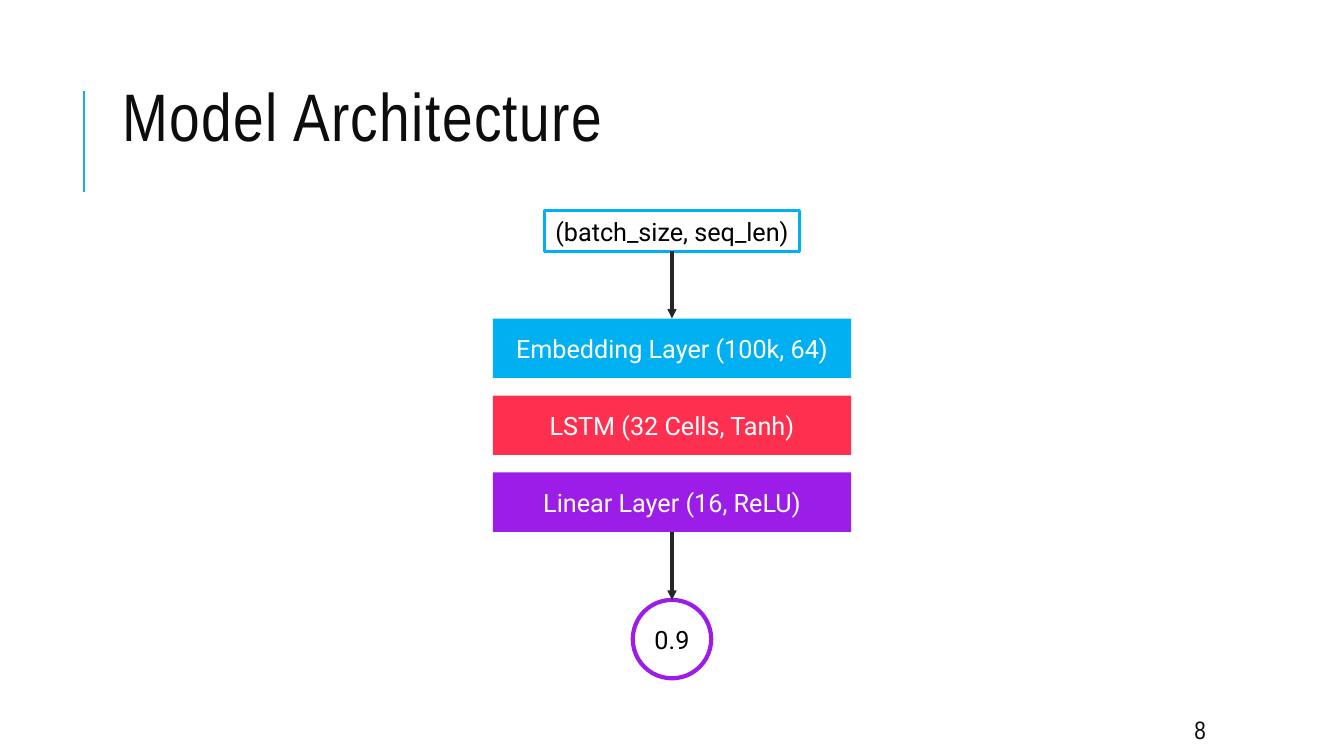
"""Builds the model architecture slide."""
from lxml import etree
from pptx import Presentation, util as u
from pptx.dml import color
from pptx.enum import shapes, text
from pptx.oxml import ns

Pt = u.Pt
SHAPE = shapes.MSO_SHAPE
ALIGN = text.PP_ALIGN


def rgb(value):
    return color.RGBColor.from_string(value)


def write(box, words, size=18, font="Roboto", ink="000000", align=ALIGN.CENTER,
          wrap=True, line_spacing=None, tracking=None):
    frame = box.text_frame
    frame.word_wrap = wrap
    frame.auto_size = text.MSO_AUTO_SIZE.NONE
    frame.vertical_anchor = text.MSO_ANCHOR.MIDDLE
    para = frame.paragraphs[0]
    para.alignment = align
    para.line_spacing = line_spacing
    span = para.add_run()
    span.text = words
    span.font.size = Pt(size)
    span.font.name = font
    span.font.color.rgb = rgb(ink)
    if tracking:
        span.font._element.set("spc", str(tracking * 100))


class Diagram:
    heading_font = "Arial Narrow"
    heading_ink = "0D0D0D"

    def __init__(self, deck):
        self.page = deck.slides.add_slide(deck.slide_layouts[5])

    def title(self, words, left, top, width, height):
        box = self.page.shapes.title
        box.left, box.top, box.width, box.height = map(Pt, (left, top, width, height))
        write(box, words, size=48, font=self.heading_font, ink=self.heading_ink,
              align=ALIGN.LEFT, line_spacing=0.8, tracking=1)

    def label(self, words, left, top, width, height):
        box = self.page.shapes.add_textbox(*map(Pt, (left, top, width, height)))
        write(box, words, font=self.heading_font, ink=self.heading_ink, align=ALIGN.LEFT)

    def node(self, words, left, top, width, height, kind=SHAPE.RECTANGLE,
             fill=None, outline=None, weight=0, **style):
        box = self.page.shapes.add_shape(kind, *map(Pt, (left, top, width, height)))
        box.shadow.inherit = False
        if fill:
            box.fill.solid()
            box.fill.fore_color.rgb = rgb(fill)
        else:
            box.fill.background()
        if outline:
            box.line.color.rgb = rgb(outline)
            box.line.width = Pt(weight)
        else:
            box.line.fill.background()
        write(box, words, **style)
        return box

    def line(self, x1, y1, x2, y2, ink, weight):
        line = self.page.shapes.add_connector(
            shapes.MSO_CONNECTOR.STRAIGHT, *map(Pt, (x1, y1, x2, y2)))
        line.line.color.rgb = rgb(ink)
        line.line.width = Pt(weight)
        etree.SubElement(line._element.spPr, ns.qn("a:effectLst"))
        return line

    def arrow(self, start, end):
        line = self.line(0, 0, 0, 0, "262626", 2.25)
        line.begin_connect(start, 2)
        line.end_connect(end, 0)
        etree.SubElement(line.line._get_or_add_ln(), ns.qn("a:tailEnd"), type="triangle")


def main():
    deck = Presentation()
    deck.slide_width, deck.slide_height = Pt(960), Pt(540)
    diagram = Diagram(deck)
    diagram.line(60, 137, 60, 65, "1CADE4", 1.5)
    diagram.label("8", 846, 510, 76, 22)
    diagram.title("Model Architecture", 80.5, 46, 765.5, 82)

    source = diagram.node("(batch_size, seq_len)", 389, 150.5, 182, 29,
                          outline="00B0F0", weight=2.25, wrap=False)
    layers = [
        diagram.node(words, 352, 227.5 + 55 * row, 256, 42.5, fill=fill, ink="FFFFFF")
        for row, (words, fill) in enumerate([
            ("Embedding Layer (100k, 64)", "00B0F0"),
            ("LSTM (32 Cells, Tanh)", "FF304F"),
            ("Linear Layer (16, ReLU)", "9C1DE7"),
        ])
    ]
    score = diagram.node("0.9", 452, 428.5, 56, 56, kind=SHAPE.OVAL,
                         outline="9C1DE7", weight=3, wrap=False)
    diagram.arrow(source, layers[0])
    diagram.arrow(layers[-1], score)
    deck.save("out.pptx")


if __name__ == "__main__":
    main()
